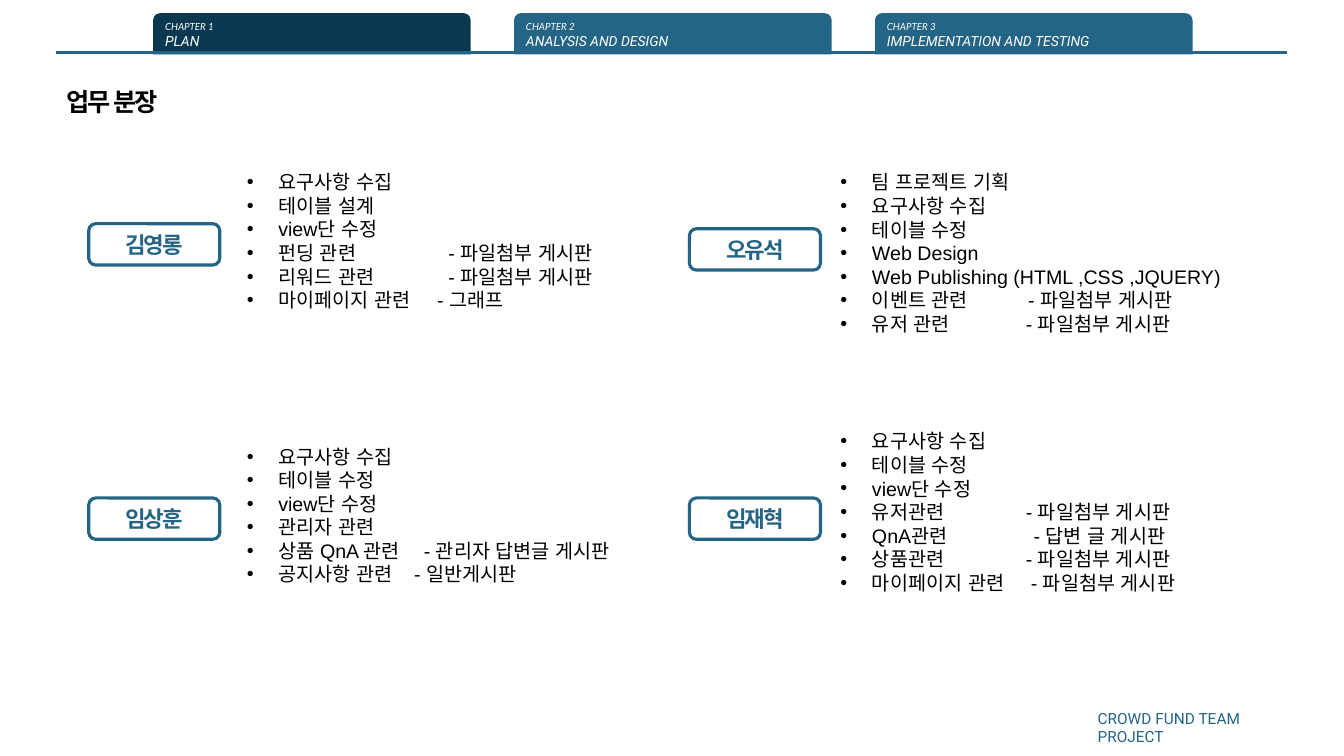
import pptx
import pptx.dml.color
import pptx.enum.shapes
import pptx.enum.text
import pptx.oxml.ns
import pptx.util
from lxml import etree

Pt = pptx.util.Pt
Shape = pptx.enum.shapes.MSO_SHAPE
Anchor = pptx.enum.text.MSO_ANCHOR
Align = pptx.enum.text.PP_ALIGN
qn = pptx.oxml.ns.qn

BLUE, NAVY, WHITE, BLACK = "246585", "0A3850", "FFFFFF", "000000"

TITLE = "업무 분장"
FOOTER = "CROWD FUND TEAM PROJECT"
CHAPTERS = [
    ("CHAPTER 1", "PLAN", NAVY),
    ("CHAPTER 2", "ANALYSIS AND DESIGN", BLUE),
    ("CHAPTER 3", "IMPLEMENTATION AND TESTING", BLUE),
]
# Each member: name, column, name top, list top, list height, duties.
# A duty is (text,) or (text, detail, tab position of the detail).
MEMBERS = [
    ("김영롱", 0, 159.8, 114.5, 120.2, [
        ("요구사항 수집",), ("테이블 설계",), ("view단 수정",),
        ("펀딩 관련", "- 파일첨부 게시판", 144),
        ("리워드 관련", "- 파일첨부 게시판", 144),
        ("마이페이지 관련", "- 그래프", 136)]),
    ("오유석", 1, 163.4, 114.5, 113.8, [
        ("팀 프로젝트 기획",), ("요구사항 수집",), ("테이블 수정",),
        ("Web Design",), ("Web Publishing (HTML ,CSS ,JQUERY)",),
        ("이벤트 관련", "- 파일첨부 게시판", 134),
        ("유저 관련", "- 파일첨부 게시판", 132.5)]),
    ("임상훈", 0, 355.7, 310.3, 120.2, [
        ("요구사항 수집",), ("테이블 수정",), ("view단 수정",), ("관리자 관련",),
        ("상품 QnA 관련", "- 관리자 답변글 게시판", 126.5),
        ("공지사항 관련", "- 일반게시판", 119.5)]),
    ("임재혁", 1, 355.7, 299.5, 141.8, [
        ("요구사항 수집",), ("테이블 수정",), ("view단 수정",),
        ("유저관련", "- 파일첨부 게시판", 132.5),
        ("QnA관련", "- 답변 글 게시판", 138),
        ("상품관련", "- 파일첨부 게시판", 132.5),
        ("마이페이지 관련", "- 파일첨부 게시판", 136)]),
]

NAME_LEFT, LIST_LEFT = (63.4, 492.5), (169.2, 593.3)
CHAPTER_LEFT, CHAPTER_STEP = 109.4, 257.8
INDENT = 22.5


def color(value):
    return pptx.dml.color.RGBColor.from_string(value)


def write(paragraph, text, fill, spacing=None, **formats):
    """Add one formatted run, with optional character spacing in points."""
    run = paragraph.add_run()
    run.text = text
    run.font.color.rgb = color(fill)
    for key, value in formats.items():
        setattr(run.font, key, value)
    properties = run._r.get_or_add_rPr()
    etree.SubElement(properties, qn("a:ea"), typeface=formats["name"])
    if spacing:
        properties.set("spc", str(int(spacing * 100)))


def add_box(slide, box, preset=None, fill=None, outline=None, wrap=True, inset=None):
    """Add a text box, or a filled shape when a preset is given."""
    frame = [Pt(value) for value in box]
    if preset is None:
        shape = slide.shapes.add_textbox(*frame)
    else:
        shape = slide.shapes.add_shape(preset, *frame)
        shape.shadow.inherit = False
        shape.fill.solid()
        shape.fill.fore_color.rgb = color(fill)
        if outline:
            shape.line.color.rgb = color(outline)
            shape.line.width = Pt(2.25)
        else:
            shape.line.fill.background()
        shape.text_frame.vertical_anchor = Anchor.MIDDLE
    shape.text_frame.word_wrap = wrap
    if inset:
        for side in ("left", "right", "top", "bottom"):
            setattr(shape.text_frame, "margin_" + side, Pt(inset))
    return shape.text_frame


def next_paragraph(text_frame, index, alignment=Align.LEFT):
    paragraph = text_frame.add_paragraph() if index else text_frame.paragraphs[0]
    paragraph.alignment = alignment
    return paragraph


def add_bullet(paragraph, tab=None):
    properties = paragraph._p.get_or_add_pPr()
    properties.set("marL", str(Pt(INDENT)))
    properties.set("indent", str(-Pt(INDENT)))
    etree.SubElement(properties, qn("a:buFont"), typeface="Arial")
    etree.SubElement(properties, qn("a:buChar"), char="•")
    if tab:
        tabs = etree.SubElement(properties, qn("a:tabLst"))
        etree.SubElement(tabs, qn("a:tab"), pos=str(Pt(tab)), algn="l")


def add_chapter(slide, index, label, heading, fill):
    left = CHAPTER_LEFT + index * CHAPTER_STEP
    text_frame = add_box(slide, (left, 9.4, 226.8, 29.5), Shape.ROUND_2_SAME_RECTANGLE, fill)
    lines = [(label, "Lato", 7), (heading, "Roboto", 10)]
    for row, (text, font, size) in enumerate(lines):
        write(next_paragraph(text_frame, row), text, WHITE, name=font, size=Pt(size), italic=True)


def add_member(slide, name, column, name_top, list_top, list_height, duties):
    badge = add_box(slide, (NAME_LEFT[column], name_top, 93.6, 29.5),
                    Shape.ROUNDED_RECTANGLE, WHITE, BLUE)
    write(next_paragraph(badge, 0, Align.CENTER), name, BLUE, -1.5,
          name="Arial", size=Pt(16), bold=True)
    duty_list = add_box(slide, (LIST_LEFT[column], list_top, 311.8, list_height), inset=7.2)
    for row, (text, *detail) in enumerate(duties):
        paragraph = next_paragraph(duty_list, row)
        add_bullet(paragraph, detail[1] if detail else None)
        line = "\t".join([text] + detail[:1])
        write(paragraph, line, BLACK, name="Arial", size=Pt(14))


def main():
    presentation = pptx.Presentation()
    presentation.slide_width, presentation.slide_height = Pt(960), Pt(540)
    slide = presentation.slides.add_slide(presentation.slide_layouts[6])

    footer = add_box(slide, (776.9, 502.6, 149.8, 20.9))
    write(next_paragraph(footer, 0), FOOTER, BLUE, name="Roboto", size=Pt(11))
    for index, chapter in enumerate(CHAPTERS):
        add_chapter(slide, index, *chapter)
    rule = slide.shapes.add_connector(pptx.enum.shapes.MSO_CONNECTOR.STRAIGHT,
                                      Pt(40.3), Pt(37.4), Pt(919.4), Pt(37.4))
    rule.line.color.rgb = color(BLUE)
    rule.line.width = Pt(2.25)
    etree.SubElement(rule._element.spPr, qn("a:effectLst"))
    title = add_box(slide, (40.3, 58.3, 86.4, 28.8), wrap=False)
    write(next_paragraph(title, 0), TITLE, BLACK, -1.5, name="Arial", size=Pt(18), bold=True)
    for member in MEMBERS:
        add_member(slide, *member)
    presentation.save("out.pptx")


if __name__ == "__main__":
    main()
